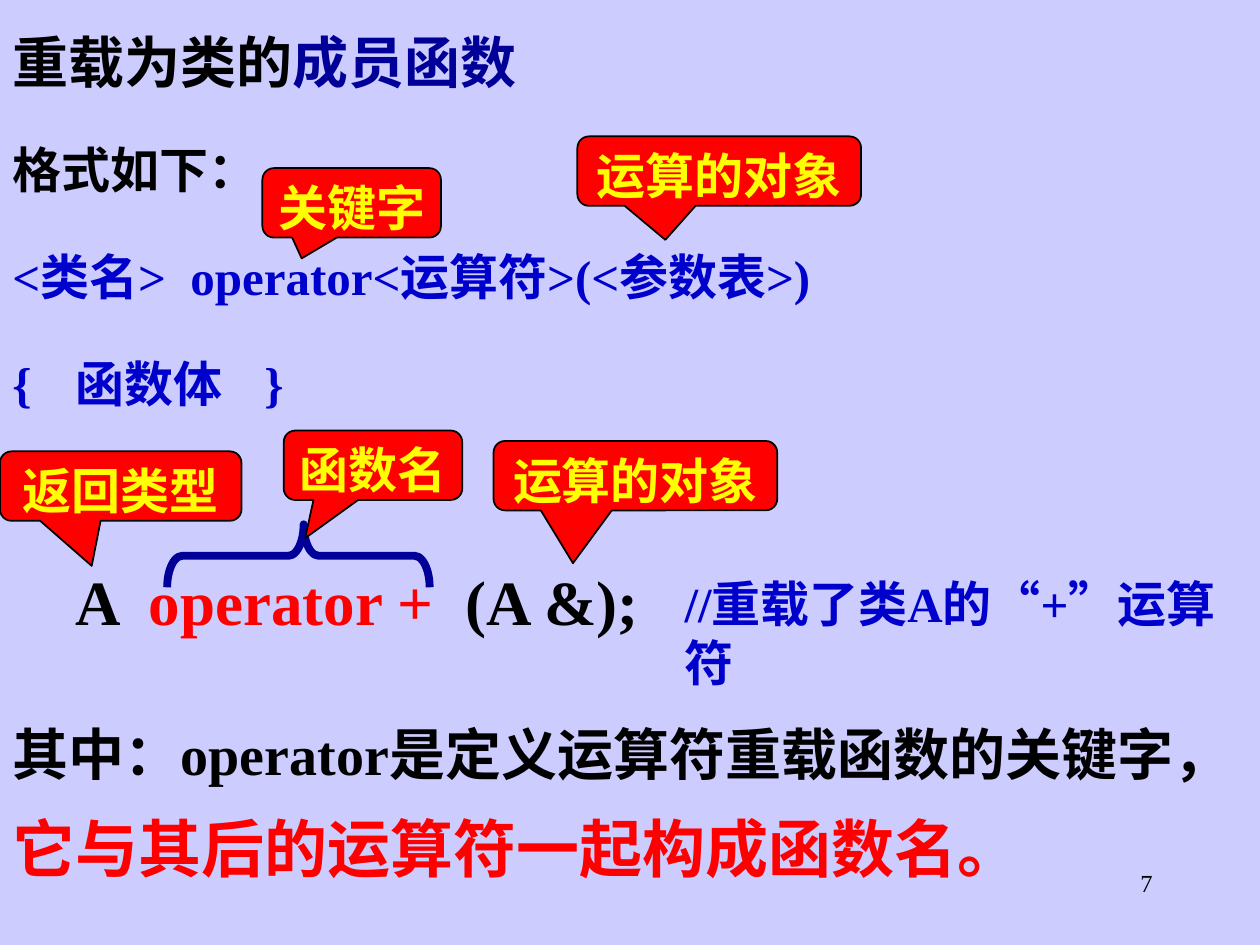
from lxml import etree
from pptx import Presentation
from pptx.dml.color import RGBColor
from pptx.enum import shapes, text
from pptx.oxml.ns import qn
from pptx.util import Cm, Pt

FONT = "Times New Roman"
COLORS = {
    "background": "CCCCFF",
    "black": "000000",
    "navy": "000099",
    "blue": "0000CC",
    "red": "FF0000",
    "yellow": "FFFF00",
}
LEFT, CENTER, RIGHT = text.PP_ALIGN.LEFT, text.PP_ALIGN.CENTER, text.PP_ALIGN.RIGHT

TITLE = [[("重载为类的", 32, "black"), ("成员函数", 32, "navy")]]
SYNTAX = [
    [("格式如下：", 28, "black")],
    [("<类名>  operator<运算符>(<参数表>)", 28, "blue")],
    [("{\t函数体\t}", 28, "blue")],
]
SYNTAX_TABS = (2.54, 7.62)
NOTES = [
    ((1.27, 11.22, 13.97, 1.78), 1,
     [("A  ", 36, "black"), ("operator +", 36, "red"), ("  (A &);", 36, "black")]),
    ((13.55, 11.43, 11.85, 2.64), 1, [("//重载了类A的“+”运算符", 28, "blue")]),
    ((0, 13.97, 25.4, 4.02), 1.3,
     [("其中：operator是定义运算符重载函数的关键字，", 32, "black"),
      ("它与其后的运算符一起构成函数名。", 36, "red")]),
]
CALLOUT_HEIGHT = 1.4
CALLOUTS = [
    ("返回类型", 0, 9.1, 4.87, (-0.12, 1.15)),
    ("运算的对象", 11.64, 2.75, 5.72, (-0.19, 0.99)),
    ("关键字", 5.29, 3.39, 3.6, (-0.28, 0.8)),
    ("函数名", 5.72, 8.68, 3.6, (-0.38, 1.05)),
    ("运算的对象", 9.95, 8.89, 5.72, (-0.22, 1.26)),
]
BRACE = (5.38, 8.56, 1.27, 5.29)
PAGE_NUMBER = (18.2, 17.36, 5.29, 1.27)


def color(name):
    return RGBColor.from_string(COLORS[name])


def place(box, frame):
    box.left, box.top, box.width, box.height = map(Cm, frame)


def write(box, paragraphs, align=LEFT, line_spacing=1, gap=0, bold=True,
          margins=(0.25, 0.13), tabs=()):
    frame = box.text_frame
    frame.word_wrap = True
    frame.auto_size = text.MSO_AUTO_SIZE.NONE
    frame.vertical_anchor = text.MSO_ANCHOR.TOP
    frame.margin_left = frame.margin_right = Cm(margins[0])
    frame.margin_top = frame.margin_bottom = Cm(margins[1])
    for index, spans in enumerate(paragraphs):
        para = frame.add_paragraph() if index else frame.paragraphs[0]
        para.alignment = align
        para.line_spacing = line_spacing
        para.space_before = Pt(gap if index else 0)
        properties = para._p.get_or_add_pPr()
        properties.set("marL", "0")
        properties.set("indent", "0")
        etree.SubElement(properties, qn("a:buNone"))
        if tabs:
            stops = etree.SubElement(properties, qn("a:tabLst"))
            for position in tabs:
                etree.SubElement(stops, qn("a:tab"), pos=str(Cm(position)), algn="l")
        for words, size, name in spans:
            span = para.add_run()
            span.text = words
            span.font.name = FONT
            span.font.size = Pt(size)
            span.font.bold = bold
            span.font.color.rgb = color(name)


def add_text(page, frame, spans, **style):
    box = page.shapes.add_textbox(*map(Cm, frame))
    write(box, [spans], **style)


def add_brace(page):
    brace = page.shapes.add_shape(shapes.MSO_SHAPE.LEFT_BRACE, *map(Cm, BRACE))
    brace.rotation = 90
    brace.adjustments[0] = 0.24
    brace.adjustments[1] = 0.48
    brace.shadow.inherit = False
    brace.fill.background()
    brace.line.color.rgb = color("navy")
    brace.line.width = Pt(4.5)


def add_callout(page, label, left, top, width, tip):
    callout = page.shapes.add_shape(
        shapes.MSO_SHAPE.ROUNDED_RECTANGULAR_CALLOUT,
        Cm(left), Cm(top), Cm(width), Cm(CALLOUT_HEIGHT))
    callout.adjustments[0], callout.adjustments[1] = tip
    callout.shadow.inherit = False
    callout.fill.solid()
    callout.fill.fore_color.rgb = color("red")
    callout.line.color.rgb = color("black")
    callout.line.width = Pt(1)
    write(callout, [[(label, 28, "yellow")]], align=CENTER, line_spacing=1.1,
          margins=(0.05, 0))


def main():
    deck = Presentation()
    deck.slide_width, deck.slide_height = Cm(25.4), Cm(19.05)
    page = deck.slides.add_slide(deck.slide_layouts[1])
    page.background.fill.solid()
    page.background.fill.fore_color.rgb = color("background")

    title, body = page.placeholders
    place(title, (0, 0.42, 24.77, 1.63))
    write(title, TITLE)
    place(body, (0, 2.33, 25.4, 6.12))
    write(body, SYNTAX, line_spacing=1.3, gap=17.5, tabs=SYNTAX_TABS)

    for frame, spacing, spans in NOTES:
        add_text(page, frame, spans, line_spacing=spacing)
    add_text(page, PAGE_NUMBER, [("7", 14, "black")], align=RIGHT, bold=False)
    add_brace(page)
    for callout in CALLOUTS:
        add_callout(page, *callout)
    deck.save("out.pptx")


if __name__ == "__main__":
    main()
